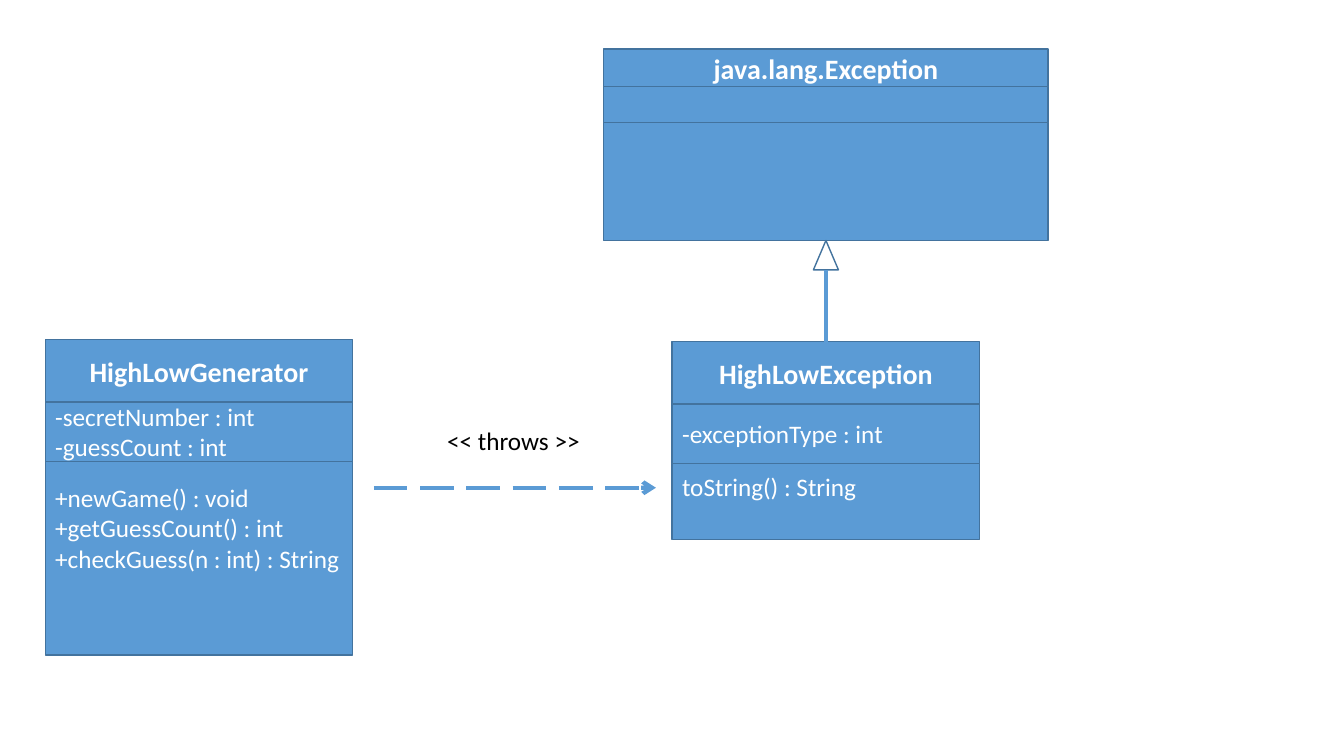
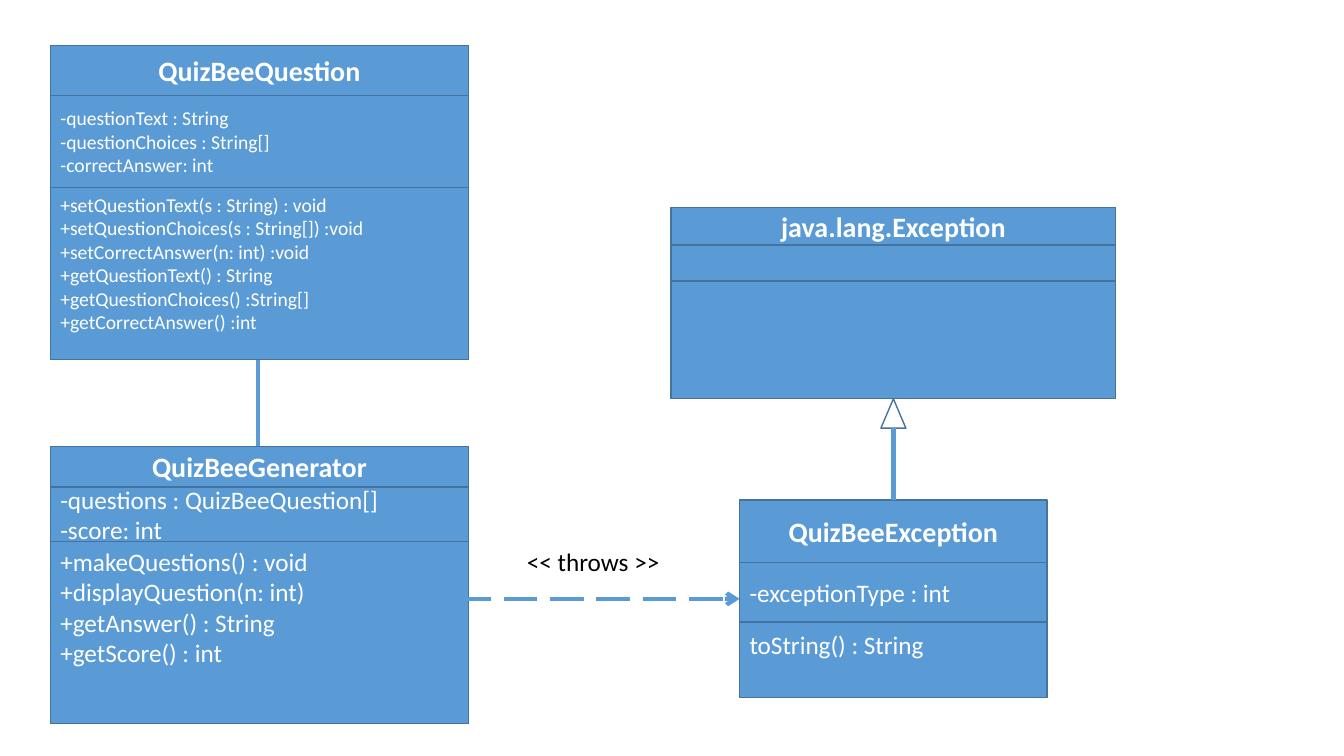
from pptx import Presentation
from pptx.dml.color import RGBColor
from pptx.enum.dml import MSO_LINE
from pptx.enum.shapes import MSO_CONNECTOR, MSO_SHAPE
from pptx.enum.text import MSO_ANCHOR, MSO_AUTO_SIZE, PP_ALIGN
from pptx.oxml.ns import qn
from pptx.util import Cm, Pt
from lxml import etree

BLUE = RGBColor(0x5B, 0x9B, 0xD5)
OUTLINE = RGBColor(0x43, 0x73, 0x9E)
WHITE = RGBColor(0xFF, 0xFF, 0xFF)
BLACK = RGBColor(0x00, 0x00, 0x00)
FONT = "Calibri"
NAME_SIZE = 20
BODY_SIZE = 18
SMALL_SIZE = 14
BLANK_LAYOUT = 6
TOP_INSET = 0.13

BASE_WIDTH = 11.2
BASE_HEIGHTS = (0.94, 0.91, 2.97)
CHILD_WIDTH = 7.75
CHILD_HEIGHTS = (1.57, 1.5, 1.91)
INHERITANCE_GAP = 2.55
HEAD_WIDTH = 0.63
HEAD_HEIGHT = 0.74
THROWS_LENGTH = 7.11


class ClassDiagram:
    def __init__(self):
        self.presentation = Presentation()
        self.presentation.slide_width = Cm(33.87)
        self.presentation.slide_height = Cm(19.05)
        self.slide = None

    def new_slide(self):
        layout = self.presentation.slide_layouts[BLANK_LAYOUT]
        self.slide = self.presentation.slides.add_slide(layout)

    def add_lines(self, frame, lines, size, color=WHITE, bold=False,
                  alignment=PP_ALIGN.LEFT):
        for index, line in enumerate(lines):
            paragraph = frame.add_paragraph() if index else frame.paragraphs[0]
            paragraph.alignment = alignment
            run = paragraph.add_run()
            run.text = line
            run.font.name = FONT
            run.font.size = Pt(size)
            run.font.bold = bold
            run.font.color.rgb = color

    def outlined(self, shapes, kind, left, top, width, height, fill):
        shape = shapes.add_shape(kind, Cm(left), Cm(top), Cm(width), Cm(height))
        shape.shadow.inherit = False
        shape.fill.solid()
        shape.fill.fore_color.rgb = fill
        shape.line.color.rgb = OUTLINE
        shape.line.width = Pt(1)
        return shape

    def class_box(self, left, top, width, heights, name, fields=(), methods=(),
                  size=BODY_SIZE, method_inset=TOP_INSET):
        shapes = self.slide.shapes.add_group_shape().shapes
        frames = []
        for height in heights:
            shape = self.outlined(shapes, MSO_SHAPE.RECTANGLE,
                                  left, top, width, height, BLUE)
            frame = shape.text_frame
            frame.word_wrap = True
            frame.vertical_anchor = MSO_ANCHOR.MIDDLE
            frames.append(frame)
            top += height
        name_frame, field_frame, method_frame = frames
        method_frame.vertical_anchor = MSO_ANCHOR.TOP
        method_frame.margin_top = Cm(method_inset)
        self.add_lines(name_frame, [name], NAME_SIZE, bold=True,
                       alignment=PP_ALIGN.CENTER)
        self.add_lines(field_frame, fields, size)
        self.add_lines(method_frame, methods, size)

    def connector(self, start, end, width=3):
        connector = self.slide.shapes.add_connector(
            MSO_CONNECTOR.STRAIGHT, *map(Cm, start + end))
        connector.line.color.rgb = BLUE
        connector.line.width = Pt(width)
        properties = connector.element.find(qn("p:spPr"))
        etree.SubElement(properties, qn("a:effectLst"))
        return connector

    def throws(self, left, top, label_left, label_top):
        arrow = self.connector((left, top), (left + THROWS_LENGTH, top))
        arrow.line.dash_style = MSO_LINE.LONG_DASH
        outline = arrow.element.find(qn("p:spPr")).find(qn("a:ln"))
        etree.SubElement(outline, qn("a:tailEnd"), type="arrow")
        label = self.slide.shapes.add_textbox(
            Cm(label_left), Cm(label_top), Cm(3.89), Cm(1.02))
        label.text_frame.word_wrap = False
        label.text_frame.auto_size = MSO_AUTO_SIZE.SHAPE_TO_FIT_TEXT
        self.add_lines(label.text_frame, ["<< throws >>"], BODY_SIZE, BLACK)

    def exception_family(self, left, top, name):
        center = left + CHILD_WIDTH / 2
        base_bottom = top - INHERITANCE_GAP
        self.class_box(left, top, CHILD_WIDTH, CHILD_HEIGHTS, name,
                       ["-exceptionType : int"], ["toString() : String"],
                       method_inset=0.2)
        self.class_box(center - BASE_WIDTH / 2, base_bottom - sum(BASE_HEIGHTS),
                       BASE_WIDTH, BASE_HEIGHTS, "java.lang.Exception")
        self.outlined(self.slide.shapes, MSO_SHAPE.ISOSCELES_TRIANGLE,
                      center - HEAD_WIDTH / 2, base_bottom,
                      HEAD_WIDTH, HEAD_HEIGHT, WHITE)
        self.connector((center, top), (center, base_bottom + HEAD_HEIGHT), 3.25)


diagram = ClassDiagram()

diagram.new_slide()
diagram.class_box(
    1.14, 8.56, 7.75, (1.57, 1.5, 4.88), "HighLowGenerator",
    ["-secretNumber : int", "-guessCount : int"],
    ["+newGame() : void", "+getGuessCount() : int",
     "+checkGuess(n : int) : String"],
    method_inset=0.53)
diagram.exception_family(16.94, 8.61, "HighLowException")
diagram.throws(9.42, 12.29, 11.02, 10.59)

diagram.new_slide()
diagram.class_box(
    1.27, 1.14, 10.54, (1.27, 2.31, 4.34), "QuizBeeQuestion",
    ["-questionText : String", "-questionChoices : String[]",
     "-correctAnswer: int"],
    ["+setQuestionText(s : String) : void",
     "+setQuestionChoices(s : String[]) :void",
     "+setCorrectAnswer(n: int) :void",
     "+getQuestionText() : String",
     "+getQuestionChoices() :String[]",
     "+getCorrectAnswer() :int"],
    size=SMALL_SIZE)
diagram.class_box(
    1.27, 11.25, 10.54, (1.02, 1.37, 4.6), "QuizBeeGenerator",
    ["-questions : QuizBeeQuestion[]", "-score: int"],
    ["+makeQuestions() : void", "+displayQuestion(n: int)",
     "+getAnswer() : String", "+getScore() : int"])
diagram.throws(11.53, 15.09, 13.03, 13.64)
diagram.exception_family(18.64, 12.6, "QuizBeeException")
diagram.connector((6.5, 11.25), (6.5, 9.06))

diagram.presentation.save("out.pptx")
